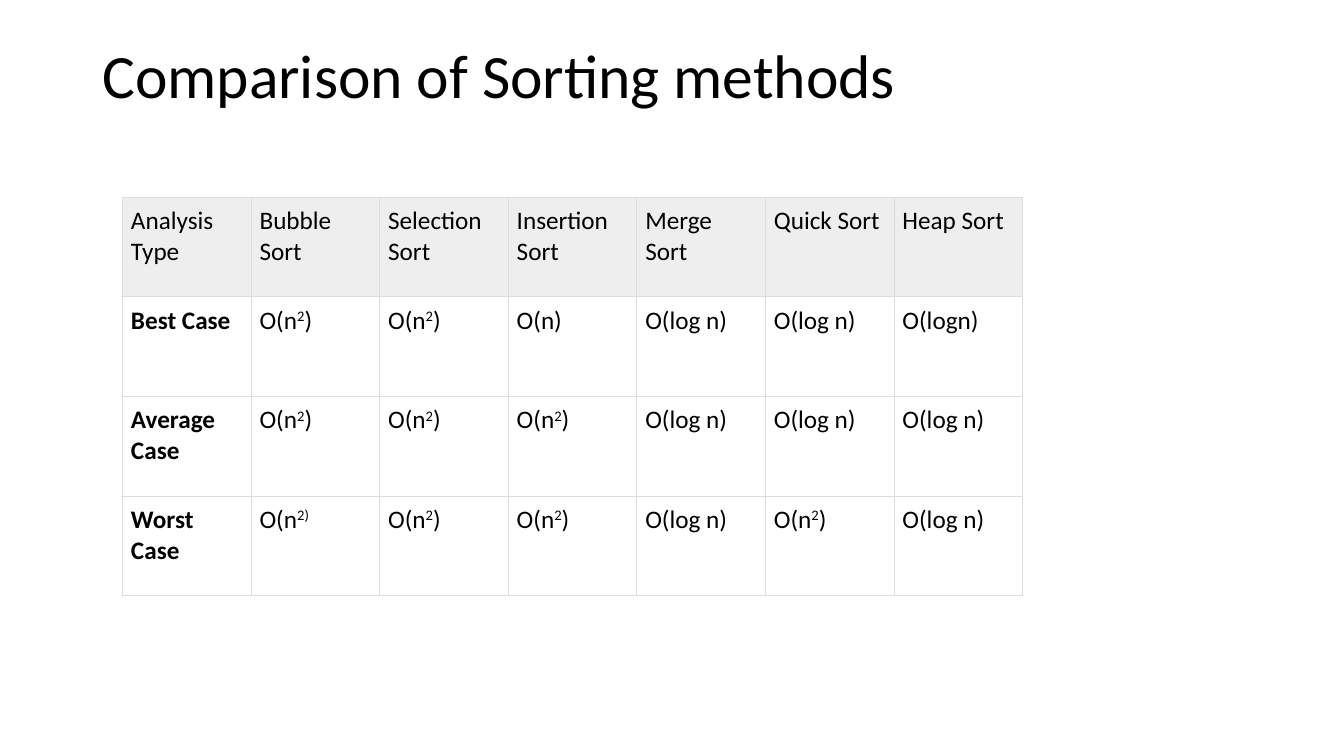
from lxml.etree import SubElement
from pptx import Presentation
from pptx.dml.color import RGBColor
from pptx.enum.text import MSO_ANCHOR
from pptx.oxml.ns import qn
from pptx.util import Pt

COLORS = {"text": "000000", "head": "EEEEEE", "rule": "DDDDDD"}

# Bars switch superscript on and off.
SQUARE = "O(n|2|)"
LOG = "O(log n)"
ROWS = [
    ["Analysis Type", "Bubble Sort", "Selection Sort", "Insertion Sort",
     "Merge Sort", "Quick Sort", "Heap Sort"],
    ["Best Case", SQUARE, SQUARE, "O(n)", LOG, LOG, "O(logn)"],
    ["Average Case", SQUARE, SQUARE, SQUARE, LOG, LOG, LOG],
    ["Worst Case", "O(n|2)", SQUARE, SQUARE, LOG, SQUARE, LOG],
]


class Deck:
    def __init__(self, width, height):
        self.font = "Calibri"
        self.show = Presentation()
        self.show.slide_width, self.show.slide_height = Pt(width), Pt(height)
        self.slide = self.show.slides.add_slide(self.show.slide_layouts[6])

    def label(self, para, text, size, bold=False):
        """Add text run by run, raising every second part."""
        for i, part in enumerate(text.split("|")):
            run = para.add_run()
            run.text = part
            font = run.font
            font.name, font.size, font.bold = self.font, Pt(size), bold
            font.color.rgb = RGBColor.from_string(COLORS["text"])
            if i % 2:
                run._r.get_or_add_rPr().set("baseline", "30000")

    def title(self, text, left, top, width, height):
        box = self.slide.shapes.add_textbox(
            Pt(left), Pt(top), Pt(width), Pt(height))
        frame = box.text_frame
        frame.word_wrap = True
        frame.vertical_anchor = MSO_ANCHOR.TOP
        para = frame.paragraphs[0]
        para.line_spacing = 0.9
        self.label(para, text, 44)

    def border(self, cell):
        props = cell._tc.get_or_add_tcPr()
        for side in ("lnL", "lnR", "lnT", "lnB"):
            line = SubElement(props, qn(f"a:{side}"), w=str(Pt(0.75)))
            fill = SubElement(line, qn("a:solidFill"))
            SubElement(fill, qn("a:srgbClr"), val=COLORS["rule"])

    def table(self, rows, left, top, col, row):
        """Draw rows in a grid of cells, each col wide and row high."""
        count, span = len(rows), len(rows[0])
        grid = self.slide.shapes.add_table(
            count, span, Pt(left), Pt(top),
            Pt(col * span), Pt(row * count)).table
        grid.first_row = grid.horz_banding = False
        for r, texts in enumerate(rows):
            for c, text in enumerate(texts):
                cell = grid.cell(r, c)
                cell.margin_left = cell.margin_right = Pt(6)
                cell.margin_top = cell.margin_bottom = Pt(6)
                self.border(cell)
                if r == 0:
                    cell.fill.solid()
                    cell.fill.fore_color.rgb = RGBColor.from_string(
                        COLORS["head"])
                else:
                    cell.fill.background()
                self.label(cell.text_frame.paragraphs[0], text, 18,
                           bold=r > 0 and c == 0)


def main():
    deck = Deck(960, 540)
    deck.title("Comparison of Sorting methods", 66, 28.75, 828, 104.4)
    deck.table(ROWS, 87.6, 141, 91.85, 71.1)
    deck.show.save("out.pptx")


if __name__ == "__main__":
    main()
